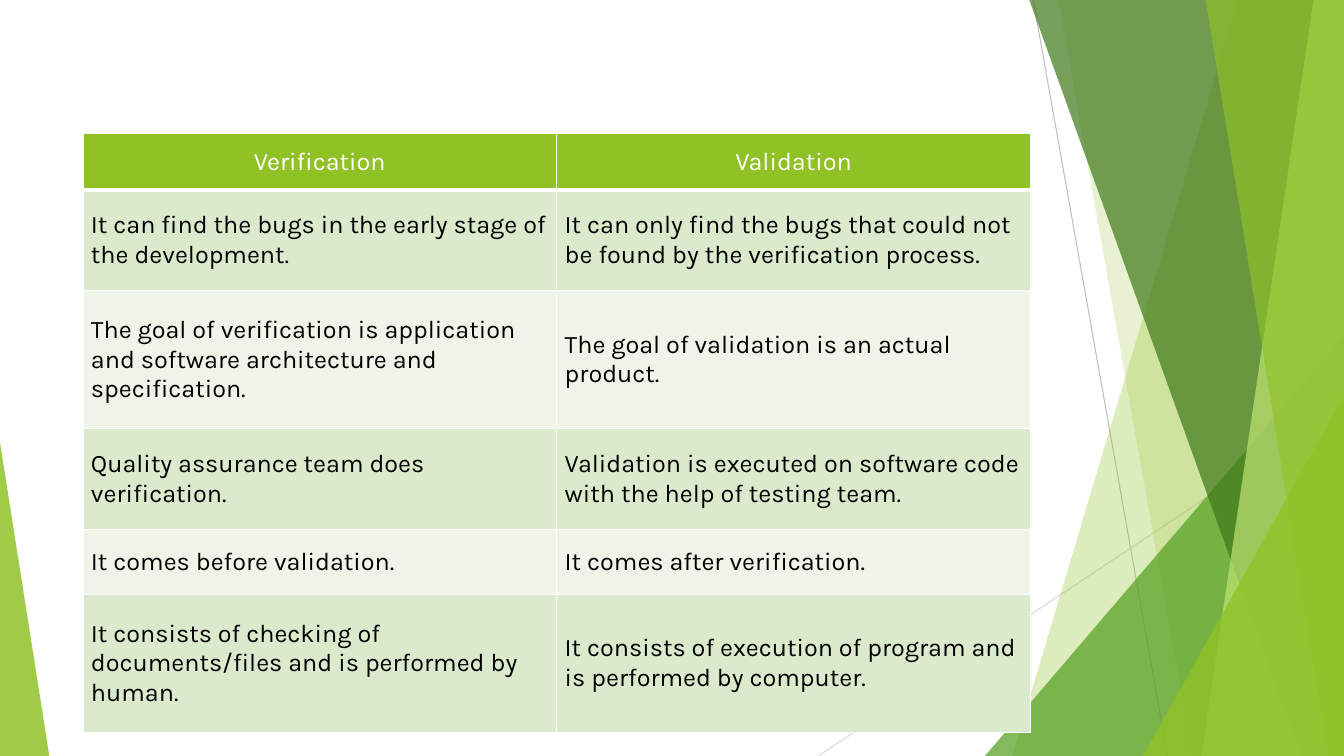
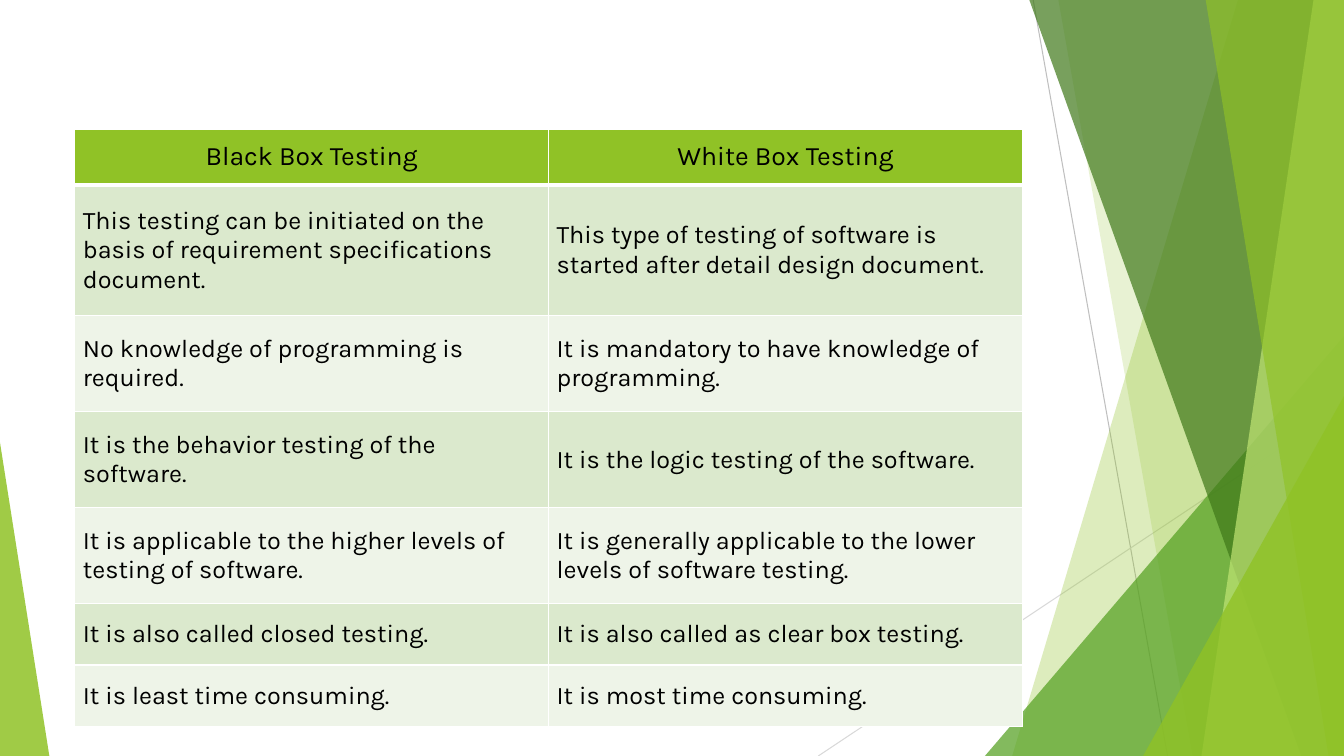
from dataclasses import dataclass

import lxml.etree
import pptx
import pptx.dml.color
import pptx.enum.shapes
import pptx.enum.text
import pptx.oxml.ns
import pptx.util

Pt = pptx.util.Pt
qn = pptx.oxml.ns.qn
RGBColor = pptx.dml.color.RGBColor
MSO_SHAPE = pptx.enum.shapes.MSO_SHAPE


@dataclass(frozen=True)
class Theme:
    """Colours, font and type sizes used on every slide."""
    font: str = "Karla"
    body_size: float = 18
    large_size: float = 19
    black: str = "000000"
    white: str = "FFFFFF"
    lime: str = "90C226"
    pale_lime: str = "C0E474"
    green: str = "54A021"
    dark_green: str = "3F7819"
    row_fills: tuple = ("DBE9CD", "EEF4E8")
    grey: str = "BFBFBF"
    light_grey: str = "D9D9D9"


theme = Theme()
WIDTH, HEIGHT = 960, 540
COLUMN_WIDTH = 338.4


def paint(shape, color, opacity):
    """Give a shape a flat, partly transparent fill without line or shadow."""
    shape.shadow.inherit = False
    shape.line.fill.background()
    shape.fill.solid()
    shape.fill.fore_color.rgb = RGBColor.from_string(color)
    color_element = next(shape.element.spPr.iter(qn("a:srgbClr")))
    alpha = lxml.etree.SubElement(color_element, qn("a:alpha"))
    alpha.set("val", str(opacity * 1000))


def set_borders(cell, widths):
    """Draw white cell borders, with widths in points for L, R, T and B."""
    properties = cell._tc.get_or_add_tcPr()
    for position, (side, width) in enumerate(widths.items()):
        border = lxml.etree.Element(qn(f"a:ln{side}"), w=str(Pt(width)))
        solid_fill = lxml.etree.SubElement(border, qn("a:solidFill"))
        lxml.etree.SubElement(solid_fill, qn("a:srgbClr"), val=theme.white)
        properties.insert(position, border)


presentation = pptx.Presentation()
presentation.slide_width = Pt(WIDTH)
presentation.slide_height = Pt(HEIGHT)
layout = presentation.slide_layouts.get_by_name("Blank")
for placeholder in list(layout.placeholders):
    layout.shapes.element.remove(placeholder.element)

comparisons = [
    {
        "left": 59.25, "top": 95.4,
        "header_size": theme.body_size, "header_color": theme.white,
        "row_heights": [40.25, 72, 98.6, 72, 46.25, 98.6],
        "rows": [
            ("Verification", "Validation"),
            ("It can find the bugs in the early stage of the development.",
             "It can only find the bugs that could not be found by the "
             "verification process."),
            ("The goal of verification is application and software "
             "architecture and specification.",
             "The goal of validation is an actual product."),
            ("Quality assurance team does verification.",
             "Validation is executed on software code with the help of "
             "testing team."),
            ("It comes before validation.", "It comes after verification."),
            ("It consists of checking of documents/files and is performed "
             "by human.",
             "It consists of execution of program and is performed by "
             "computer."),
        ],
    },
    {
        "left": 53.5, "top": 92.5,
        "header_size": theme.large_size, "header_color": theme.black,
        "row_heights": [39.5, 93.5, 68.6, 68.6, 68.6, 43.75, 43.75],
        "rows": [
            ("Black Box Testing", "White Box Testing"),
            ("This testing can be initiated on the basis of requirement "
             "specifications document.",
             "This type of testing of software is started after detail "
             "design document."),
            ("No knowledge of programming is required.",
             "It is mandatory to have knowledge of programming."),
            ("It is the behavior testing of the software.",
             "It is the logic testing of the software."),
            ("It is applicable to the higher levels of testing of software.",
             "It is generally applicable to the lower levels of software "
             "testing."),
            ("It is also called closed testing.",
             "It is also called as clear box testing."),
            ("It is least time consuming.", "It is most time consuming."),
        ],
    },
]
slides = [presentation.slides.add_slide(layout) for _ in comparisons]

# Backdrop: drawn once, then moved to the layout that all slides share
backdrop = slides[0].shapes
for start_x, start_y, end_x, end_y, color in [
    (738, 0, 834, HEIGHT, theme.grey),
    (WIDTH, 290, 584.5, HEIGHT, theme.light_grey),
]:
    connector = backdrop.add_connector(
        pptx.enum.shapes.MSO_CONNECTOR.STRAIGHT,
        Pt(start_x), Pt(start_y), Pt(end_x), Pt(end_y))
    connector.line.color.rgb = RGBColor.from_string(color)
    connector.line.width = Pt(0.75)
    lxml.etree.SubElement(connector.element.spPr, qn("a:effectLst"))

# A band has its left edge at the top and bottom of the slide;
# a triangle has left, top, width, height and the place of its apex
for kind, geometry, color, opacity in [
    ("band", (884.25, 723), theme.lime, 30),
    ("band", (756, 851.75), theme.lime, 20),
    ("triangle", (703.5, 240, 256.5, 300, 1), theme.green, 72),
    ("band", (735.25, 929.5), theme.dark_green, 70),
    ("band", (938.25, 858.25), theme.pale_lime, 70),
    ("band", (861.25, 949), theme.lime, 65),
    ("triangle", (816.5, 283, 143.5, 257, 1), theme.lime, 80),
    ("triangle", (0, 316, 35.25, 224, 0), theme.lime, 85),
]:
    if kind == "band":
        top_x, bottom_x = geometry
        builder = backdrop.build_freeform(Pt(top_x), Pt(0))
        builder.add_line_segments([
            (Pt(WIDTH), Pt(0)), (Pt(WIDTH), Pt(HEIGHT)),
            (Pt(bottom_x), Pt(HEIGHT))], close=True)
        shape = builder.convert_to_shape()
    else:
        *box, apex = geometry
        shape = backdrop.add_shape(
            MSO_SHAPE.ISOSCELES_TRIANGLE, *[Pt(length) for length in box])
        shape.adjustments[0] = apex
    paint(shape, color, opacity)

for shape in list(backdrop):
    layout.shapes.element.append(shape.element)

# Comparison tables
for slide, comparison in zip(slides, comparisons):
    rows, row_heights = comparison["rows"], comparison["row_heights"]
    table = slide.shapes.add_table(
        len(rows), 2, Pt(comparison["left"]), Pt(comparison["top"]),
        Pt(2 * COLUMN_WIDTH), Pt(sum(row_heights))).table
    for column in table.columns:
        column.width = Pt(COLUMN_WIDTH)

    for row_index, texts in enumerate(rows):
        table.rows[row_index].height = Pt(row_heights[row_index])
        is_header = row_index == 0
        fill = theme.lime if is_header else theme.row_fills[(row_index - 1) % 2]
        color = comparison["header_color"] if is_header else theme.black
        size = comparison["header_size"] if is_header else theme.body_size
        padding = Pt(5.75 if is_header else 8.75)
        cell_format = {
            "vertical_anchor": pptx.enum.text.MSO_ANCHOR.MIDDLE,
            "margin_left": Pt(5.75), "margin_right": Pt(5.75),
            "margin_top": padding, "margin_bottom": padding,
        }
        font_format = {"name": theme.font, "size": Pt(size), "bold": False}
        borders = {"L": 1, "R": 1, "T": 3 if row_index == 1 else 1,
                   "B": 3 if is_header else 1}

        for column_index, text in enumerate(texts):
            cell = table.cell(row_index, column_index)
            cell.text = text
            for name, value in cell_format.items():
                setattr(cell, name, value)
            cell.fill.solid()
            cell.fill.fore_color.rgb = RGBColor.from_string(fill)
            set_borders(cell, borders)

            paragraph = cell.text_frame.paragraphs[0]
            if is_header:
                paragraph.alignment = pptx.enum.text.PP_ALIGN.CENTER
            font = paragraph.runs[0].font
            for name, value in font_format.items():
                setattr(font, name, value)
            font.color.rgb = RGBColor.from_string(color)

presentation.save("out.pptx")
